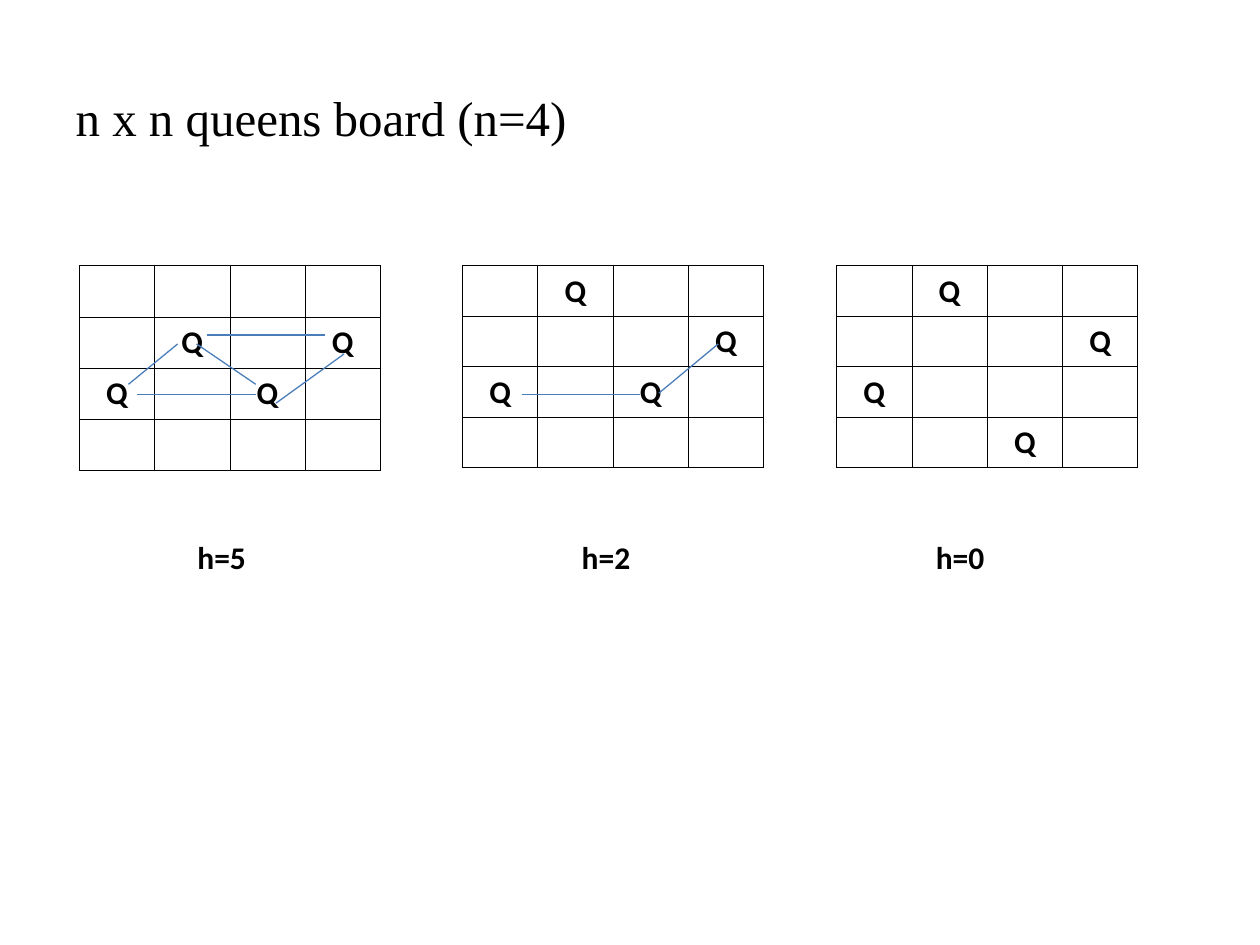
import pptx
import pptx.util
import pptx.dml.color
import pptx.enum.shapes
import pptx.enum.text
import pptx.oxml
import pptx.oxml.ns
from pptx.util import Inches

COLORS = {"ink": "000000", "attack": "4A7EBB"}
N = 4
BOARD_TOP, BOARD_WIDTH, BOARD_HEIGHT = 2.11, 2.39, 1.6
CAPTION_TOP, CAPTION_WIDTH, CAPTION_HEIGHT = 4.22, 1.8, 0.4

# Queens are (row, column); attacks are (x1, y1, x2, y2) from the board's corner
BOARDS = [
    {"left": 0.63, "caption": "h=5", "caption_left": 0.86,
     "queens": [(1, 1), (1, 3), (2, 0), (2, 2)],
     "attacks": [(0.39, 0.94, 0.78, 0.62), (0.46, 1.02, 1.4, 1.02),
                 (0.93, 0.62, 1.4, 0.94), (1.01, 0.55, 1.95, 0.55),
                 (2.1, 0.7, 1.56, 1.09)]},
    {"left": 3.67, "caption": "h=2", "caption_left": 3.91,
     "queens": [(0, 1), (1, 3), (2, 0), (2, 2)],
     "attacks": [(0.47, 1.02, 1.41, 1.02), (1.56, 1.01, 2.03, 0.62)]},
    {"left": 6.64, "caption": "h=0", "caption_left": 6.72,
     "queens": [(0, 1), (1, 3), (2, 0), (3, 2)],
     "attacks": []},
]


def rgb(name):
    return pptx.dml.color.RGBColor.from_string(COLORS[name])


def write(text_frame, text, size=18, font="Calibri", bold=True,
          align=pptx.enum.text.PP_ALIGN.CENTER):
    text_frame.text = text
    paragraph = text_frame.paragraphs[0]
    paragraph.alignment = align
    run_font = paragraph.runs[0].font
    run_font.size = pptx.util.Pt(size)
    run_font.name = font
    run_font.bold = bold
    run_font.color.rgb = rgb("ink")


def outline_cell(cell):
    properties = cell._tc.get_or_add_tcPr()
    for side in ("lnL", "lnR", "lnT", "lnB"):
        properties.append(pptx.oxml.parse_xml(
            f'<a:{side} {pptx.oxml.ns.nsdecls("a")} w="{pptx.util.Pt(0.45)}">'
            f'<a:solidFill><a:srgbClr val="{COLORS["ink"]}"/></a:solidFill>'
            f'</a:{side}>'))
    cell.fill.background()


def add_title(slide, left, top, width, height):
    title = slide.shapes.title
    title.left, title.top = Inches(left), Inches(top)
    title.width, title.height = Inches(width), Inches(height)
    write(title.text_frame, "n x n queens board (n=4)", 28, "Times New Roman",
          False, pptx.enum.text.PP_ALIGN.LEFT)
    title.text_frame.vertical_anchor = pptx.enum.text.MSO_ANCHOR.MIDDLE


def add_board(slide, left, top, width, height, queens):
    board = slide.shapes.add_table(N, N, Inches(left), Inches(top),
                                   Inches(width), Inches(height)).table
    board.first_row = board.horz_banding = False
    for cell in board.iter_cells():
        outline_cell(cell)
    for row, column in queens:
        write(board.cell(row, column).text_frame, "Q")


def add_attacks(slide, left, top, attacks):
    for x1, y1, x2, y2 in attacks:
        attack = slide.shapes.add_connector(
            pptx.enum.shapes.MSO_CONNECTOR.STRAIGHT,
            Inches(left + x1), Inches(top + y1),
            Inches(left + x2), Inches(top + y2))
        attack.line.color.rgb = rgb("attack")
        attack.line.width = pptx.util.Pt(0.75)
        attack._element.spPr.append(pptx.oxml.parse_xml(
            f'<a:effectLst {pptx.oxml.ns.nsdecls("a")}/>'))


def add_caption(slide, left, top, width, height, text):
    caption = slide.shapes.add_textbox(Inches(left), Inches(top),
                                       Inches(width), Inches(height))
    caption.text_frame.word_wrap = True
    caption.text_frame.auto_size = pptx.enum.text.MSO_AUTO_SIZE.SHAPE_TO_FIT_TEXT
    write(caption.text_frame, text)


def main():
    deck = pptx.Presentation()
    deck.slide_width, deck.slide_height = Inches(10), Inches(7.5)
    slide = deck.slides.add_slide(deck.slide_layouts[5])
    add_title(slide, 0.5, 0.3, 9, 1.25)

    # Each board with its attacking pairs and their count
    for board in BOARDS:
        add_board(slide, board["left"], BOARD_TOP, BOARD_WIDTH, BOARD_HEIGHT,
                  board["queens"])
        add_attacks(slide, board["left"], BOARD_TOP, board["attacks"])
        add_caption(slide, board["caption_left"], CAPTION_TOP, CAPTION_WIDTH,
                    CAPTION_HEIGHT, board["caption"])
    deck.save("out.pptx")


if __name__ == "__main__":
    main()
